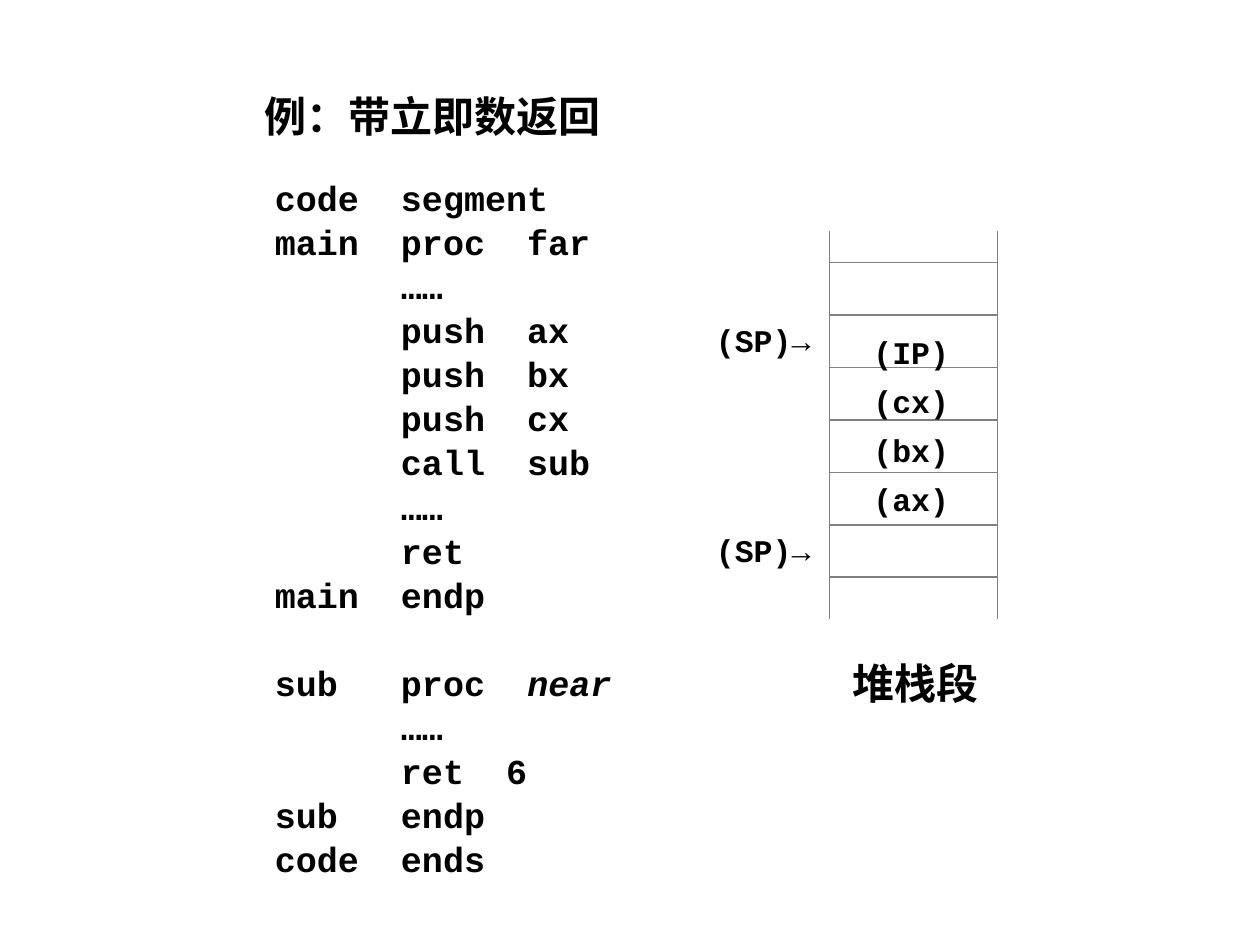
from dataclasses import dataclass

from lxml.etree import SubElement
from pptx import Presentation
from pptx.dml.color import RGBColor
from pptx.enum.shapes import MSO_CONNECTOR as Connector, MSO_SHAPE as Shape
from pptx.enum.text import MSO_AUTO_SIZE as AutoSize
from pptx.oxml.ns import qn
from pptx.slide import Slide
from pptx.util import Inches, Pt


@dataclass(frozen=True)
class Theme:
    ink: RGBColor = RGBColor(0, 0, 0)
    rule: RGBColor = RGBColor(0x80, 0x80, 0x80)
    rule_width: float = 1
    heading_font: str = "Times New Roman"
    code_font: str = "Courier New"
    heading_size: int = 24
    code_size: int = 20
    label_size: int = 18


@dataclass(frozen=True)
class Area:
    column: float
    row: float
    columns: float
    rows: float


@dataclass(frozen=True)
class Span:
    text: str
    italic: bool = False


@dataclass(frozen=True)
class Line:
    spans: tuple[Span, ...]
    gap: float = 0


@dataclass(frozen=True)
class TextBlock:
    area: Area
    lines: tuple[Line, ...]
    font: str
    size: int
    spacing: float = 1
    inset: float = 0.1


THEME = Theme()
CELLS_PER_INCH = 12
STACK = Area(79, 25, 16, 5)
STACK_CELLS = 6
STUB_ROWS = 4
CODE_LINE_POINTS = 25.2


def grid(cells: float) -> int:
    return Inches(cells / CELLS_PER_INCH)


def plain(*texts: str) -> tuple[Line, ...]:
    return tuple(Line((Span(text),)) for text in texts)


def add_text(slide: Slide, block: TextBlock) -> None:
    area = block.area
    shape = slide.shapes.add_textbox(
        grid(area.column), grid(area.row), grid(area.columns), grid(area.rows))
    frame = shape.text_frame
    frame.word_wrap = True
    frame.auto_size = AutoSize.SHAPE_TO_FIT_TEXT
    frame.margin_left = Inches(block.inset)
    for index, line in enumerate(block.lines):
        paragraph = frame.add_paragraph() if index else frame.paragraphs[0]
        paragraph.line_spacing = block.spacing
        if line.gap:
            paragraph.space_before = Pt(line.gap)
        for span in line.spans:
            run = paragraph.add_run()
            run.text = span.text
            run.font.name = block.font
            run.font.size = Pt(block.size)
            run.font.bold = True
            run.font.italic = span.italic
            run.font.color.rgb = THEME.ink


def add_cell(slide: Slide, area: Area) -> None:
    shape = slide.shapes.add_shape(
        Shape.RECTANGLE, grid(area.column), grid(area.row),
        grid(area.columns), grid(area.rows))
    shape.shadow.inherit = False
    shape.fill.background()
    shape.line.color.rgb = THEME.rule
    shape.line.width = Pt(THEME.rule_width)


def add_stub(slide: Slide, column: float, row: float) -> None:
    connector = slide.shapes.add_connector(
        Connector.STRAIGHT, grid(column), grid(row), grid(column), grid(row + STUB_ROWS))
    connector.line.color.rgb = THEME.rule
    connector.line.width = Pt(THEME.rule_width)
    SubElement(connector._element.spPr, qn("a:effectLst"))


def add_stack(slide: Slide) -> None:
    for index in range(STACK_CELLS):
        row = STACK.row + index * STACK.rows
        add_cell(slide, Area(STACK.column, row, STACK.columns, STACK.rows))
    bottom = STACK.row + STACK_CELLS * STACK.rows
    for column in (STACK.column, STACK.column + STACK.columns):
        for row in (STACK.row - 3, bottom):
            add_stub(slide, column, row)


CODE = (
    *plain(
        "code  segment",
        "main  proc  far",
        "      ……",
        "      push  ax",
        "      push  bx",
        "      push  cx",
        "      call  sub",
        "      ……",
        "      ret",
        "main  endp",
    ),
    Line((Span("sub   proc  "), Span("near", italic=True)), gap=CODE_LINE_POINTS),
    *plain(
        "      ……",
        "      ret  6",
        "sub   endp",
        "code  ends",
    ),
)

POINTERS = tuple(
    TextBlock(Area(67, STACK.row + cell * STACK.rows, 14, 5), plain("(SP)→"),
              THEME.code_font, THEME.label_size)
    for cell in (1, 5)
)

BLOCKS = (
    TextBlock(Area(24, 8, 38, 6), plain("例：带立即数返回"),
              THEME.heading_font, THEME.heading_size),
    TextBlock(Area(79, 62, 17, 6), plain("堆栈段"),
              THEME.heading_font, THEME.heading_size, inset=0.18),
    TextBlock(Area(25, 16, 41, 68.5), CODE,
              THEME.code_font, THEME.code_size, spacing=1.05),
    TextBlock(Area(82, 30, 12, 20), plain("(IP)", "(cx)", "(bx)", "(ax)"),
              THEME.code_font, THEME.label_size, spacing=1.3),
    *POINTERS,
)


def main() -> None:
    presentation = Presentation()
    presentation.slide_width = Inches(10)
    presentation.slide_height = Inches(7.5)
    slide = presentation.slides.add_slide(presentation.slide_layouts[6])
    add_stack(slide)
    for block in BLOCKS:
        add_text(slide, block)
    presentation.save("out.pptx")


if __name__ == "__main__":
    main()
